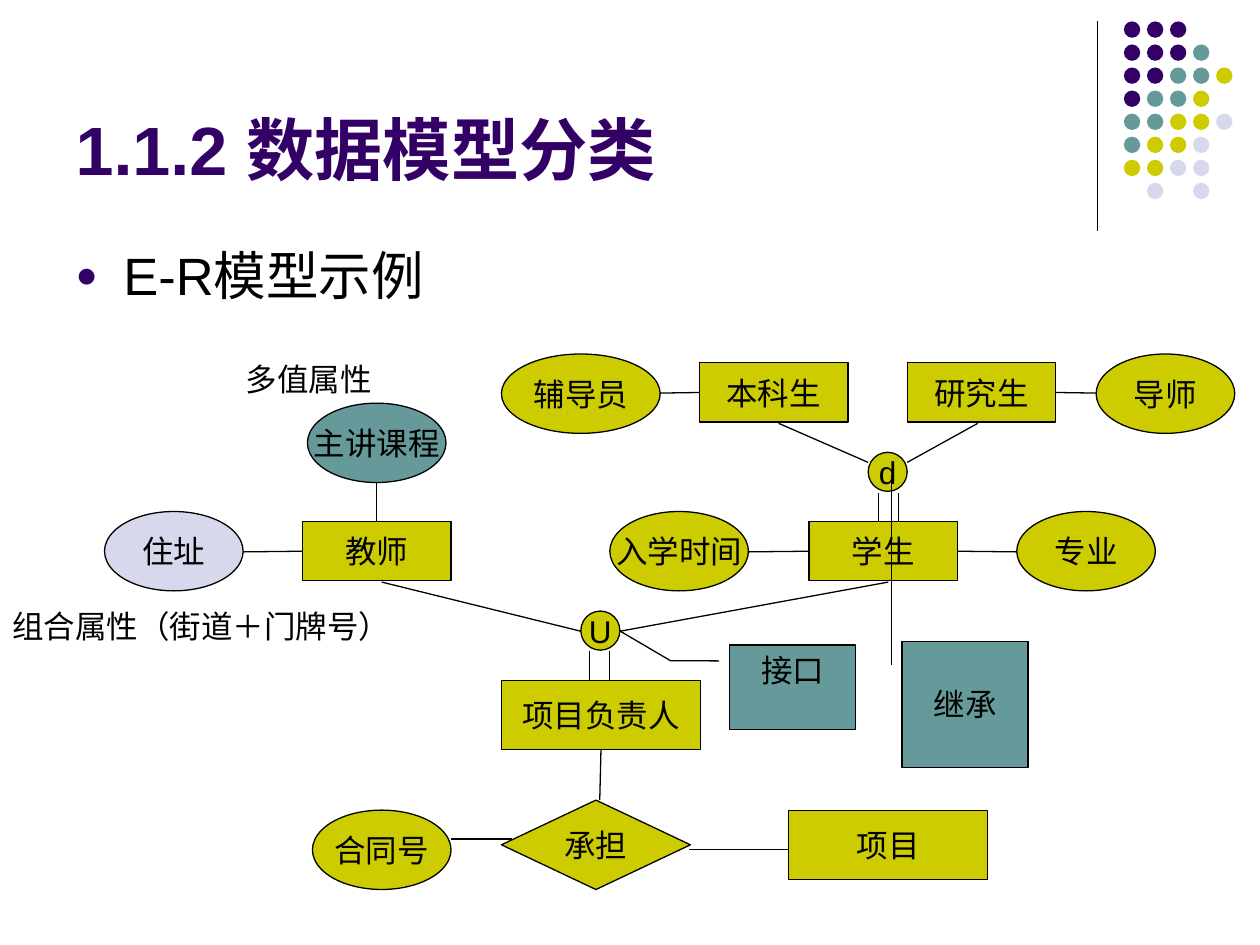
from typing import NamedTuple, Optional

import pptx
import pptx.dml.color
import pptx.enum.shapes
import pptx.enum.text
import pptx.oxml
import pptx.oxml.ns
import pptx.util
from pptx.util import Inches

RGBColor = pptx.dml.color.RGBColor
Shape = pptx.enum.shapes.MSO_SHAPE
Anchor = pptx.enum.text.MSO_ANCHOR
Align = pptx.enum.text.PP_ALIGN
AutoSize = pptx.enum.text.MSO_AUTO_SIZE

BLACK = RGBColor(0x00, 0x00, 0x00)
PURPLE = RGBColor(0x33, 0x00, 0x66)
TEAL = RGBColor(0x66, 0x99, 0x99)
OLIVE = RGBColor(0xCC, 0xCC, 0x00)
LAVENDER = RGBColor(0xD8, 0xD8, 0xEC)

FONT = "Arial"
TOP, LEFT, BOTTOM, RIGHT = range(4)

# Dot ornament: one letter per dot, one string per row
DOT_COLORS = {"P": PURPLE, "T": TEAL, "O": OLIVE, "L": LAVENDER}
DOT_ROWS = ["PPP", "PPPT", "PPTTO", "PTTO", "TTOOL", "TOOL", "OOLL", " L L"]
DOT_LEFT, DOT_TOP, DOT_PITCH, DOT_SIZE = 8.92, 0.17, 0.183, 0.13


class Size(NamedTuple):
    width: float
    height: float


ENTITY = Size(1.18, 0.47)
WIDE_ENTITY = Size(1.58, 0.55)
ATTRIBUTE = Size(1.1, 0.63)
CIRCLE = Size(0.31, 0.31)


class Node(NamedTuple):
    text: str
    left: float
    top: float
    size: Size
    kind: int = Shape.OVAL
    fill: RGBColor = OLIVE


class Link(NamedTuple):
    start: tuple
    end: tuple
    start_joint: Optional[tuple] = None  # (entity, side)
    end_joint: Optional[tuple] = None


class Callout(NamedTuple):
    node: Node
    adjustments: tuple
    anchor: int


NODES = [
    Node("学生", 6.42, 4.14, ENTITY, Shape.RECTANGLE),
    Node("研究生", 7.2, 2.88, ENTITY, Shape.RECTANGLE),
    Node("本科生", 5.55, 2.88, ENTITY, Shape.RECTANGLE),
    Node("教师", 2.4, 4.14, ENTITY, Shape.RECTANGLE),
    Node("项目负责人", 3.98, 5.4, WIDE_ENTITY, Shape.RECTANGLE),
    Node("项目", 6.26, 6.43, WIDE_ENTITY, Shape.RECTANGLE),
    Node("承担", 3.98, 6.35, Size(1.5, 0.71), Shape.DIAMOND),
    Node("导师", 8.7, 2.81, ATTRIBUTE),
    Node("辅导员", 3.98, 2.81, Size(1.26, 0.63)),
    Node("入学时间", 4.84, 4.06, ATTRIBUTE),
    Node("专业", 8.07, 4.06, ATTRIBUTE),
    Node("住址", 0.83, 4.06, ATTRIBUTE, fill=LAVENDER),
    Node("主讲课程", 2.44, 3.2, ATTRIBUTE, fill=TEAL),
    Node("合同号", 2.48, 6.43, ATTRIBUTE),
    Node("d", 6.89, 3.59, CIRCLE),
    Node("U", 4.61, 4.85, CIRCLE),
]

LINKS = [
    # Attributes
    Link((5.94, 4.38), (6.42, 4.38), end_joint=("学生", LEFT)),
    Link((7.6, 4.38), (8.07, 4.38), start_joint=("学生", RIGHT)),
    Link((8.39, 3.12), (8.7, 3.12), start_joint=("研究生", RIGHT)),
    Link((5.24, 3.12), (5.55, 3.12), end_joint=("本科生", LEFT)),
    Link((1.93, 4.38), (2.4, 4.38), end_joint=("教师", LEFT)),
    Link((2.99, 4.14), (2.99, 3.83), start_joint=("教师", TOP)),
    Link((3.58, 6.66), (4.06, 6.66)),
    # Inheritance and union, with double lines
    Link((6.97, 3.91), (6.97, 4.14)),
    Link((7.13, 3.91), (7.13, 4.14)),
    Link((6.18, 3.36), (6.89, 3.67)),
    Link((7.76, 3.36), (7.2, 3.67)),
    Link((4.68, 5.17), (4.68, 5.4)),
    Link((4.84, 5.17), (4.84, 5.4)),
    Link((3.03, 4.62), (4.61, 5.01)),
    Link((7.05, 4.62), (4.92, 5.01)),
    # Relationship
    Link((4.76, 5.95), (4.76, 6.35), start_joint=("项目负责人", BOTTOM)),
    Link((5.47, 6.74), (6.26, 6.74)),
]

CALLOUTS = [
    Callout(Node("继承", 7.16, 5.09, Size(1, 1), Shape.LINE_CALLOUT_1, TEAL),
            (0.188, -0.083, -1.319, -0.083), Anchor.MIDDLE),
    Callout(Node("接口", 5.79, 5.12, Size(1, 0.67), Shape.LINE_CALLOUT_2, TEAL),
            (0.188, -0.083, 0.185, -0.469, -0.167, -0.87), Anchor.TOP),
]


def add_text(paragraph, text: str, size: float = 18,
             color: RGBColor = BLACK, bold: bool = False) -> None:
    run = paragraph.add_run()
    run.text = text
    run.font.name = FONT
    run.font.size = pptx.util.Pt(size)
    run.font.bold = bold
    run.font.color.rgb = color


def place(shape, left: float, top: float, width: float, height: float) -> None:
    shape.left, shape.top = Inches(left), Inches(top)
    shape.width, shape.height = Inches(width), Inches(height)


def add_dots(slide) -> None:
    for row, letters in enumerate(DOT_ROWS):
        for column, letter in enumerate(letters):
            if letter not in DOT_COLORS:
                continue
            dot = slide.shapes.add_shape(
                Shape.OVAL, Inches(DOT_LEFT + column * DOT_PITCH),
                Inches(DOT_TOP + row * DOT_PITCH), Inches(DOT_SIZE), Inches(DOT_SIZE))
            dot.shadow.inherit = False
            dot.fill.solid()
            dot.fill.fore_color.rgb = DOT_COLORS[letter]
            dot.line.fill.background()


def add_node(slide, node: Node, wrap: bool = False):
    shape = slide.shapes.add_shape(
        node.kind, Inches(node.left), Inches(node.top),
        Inches(node.size.width), Inches(node.size.height))
    shape.shadow.inherit = False
    shape.fill.solid()
    shape.fill.fore_color.rgb = node.fill
    shape.line.color.rgb = BLACK
    shape.line.width = pptx.util.Pt(0.75)
    frame = shape.text_frame
    frame.word_wrap = wrap
    frame.vertical_anchor = Anchor.MIDDLE
    frame.paragraphs[0].alignment = Align.CENTER
    add_text(frame.paragraphs[0], node.text)
    return shape


def add_link(slide, link: Link, shapes: dict) -> None:
    connector = slide.shapes.add_connector(
        pptx.enum.shapes.MSO_CONNECTOR.STRAIGHT,
        *map(Inches, link.start + link.end))
    connector.line.color.rgb = BLACK
    connector.line.width = pptx.util.Pt(0.75)
    properties = connector._element.spPr
    properties.append(pptx.oxml.parse_xml(
        f"<a:effectLst {pptx.oxml.ns.nsdecls('a')}/>"))
    if link.start_joint:
        entity, side = link.start_joint
        connector.begin_connect(shapes[entity], side)
    if link.end_joint:
        entity, side = link.end_joint
        connector.end_connect(shapes[entity], side)


def add_callout(slide, callout: Callout) -> None:
    shape = add_node(slide, callout.node, wrap=True)
    shape.text_frame.vertical_anchor = callout.anchor
    for index, value in enumerate(callout.adjustments):
        shape.adjustments[index] = value


def add_label(slide, text: str, left: float, top: float, width: float) -> None:
    box = slide.shapes.add_textbox(Inches(left), Inches(top), Inches(width), Inches(0.4))
    box.text_frame.word_wrap = True
    add_text(box.text_frame.paragraphs[0], text)


def add_headings(slide) -> None:
    title, body = slide.shapes.title, slide.placeholders[1]
    place(title, 0.5, 0.13, 8.25, 1.42)
    place(body, 0.5, 1.88, 9, 4.82)
    for shape, anchor in ((title, Anchor.BOTTOM), (body, Anchor.TOP)):
        shape.text_frame.auto_size = AutoSize.NONE
        shape.text_frame.vertical_anchor = anchor
        shape.text_frame.paragraphs[0].alignment = Align.LEFT
    add_text(title.text_frame.paragraphs[0], "1.1.2 数据模型分类", 39, PURPLE, bold=True)

    paragraph = body.text_frame.paragraphs[0]
    properties = paragraph._p.get_or_add_pPr()
    properties.set("marL", str(Inches(0.38)))
    properties.set("indent", str(-Inches(0.38)))
    for bullet in (f'<a:buClr {{}}><a:srgbClr val="{PURPLE}"/></a:buClr>',
                   '<a:buSzPct {} val="70000"/>',
                   '<a:buChar {} char="●"/>'):
        properties.append(pptx.oxml.parse_xml(bullet.format(pptx.oxml.ns.nsdecls("a"))))
    paragraph.space_before = pptx.util.Pt(0)
    add_text(paragraph, "E-R模型示例", 30)


def main() -> None:
    presentation = pptx.Presentation()
    presentation.slide_width, presentation.slide_height = Inches(10), Inches(7.5)
    slide = presentation.slides.add_slide(presentation.slide_layouts[1])

    # Ornament and headings
    add_link(slide, Link((8.71, 0.17), (8.71, 1.83)), {})
    add_dots(slide)
    add_headings(slide)

    # Entity-relationship diagram
    shapes = {node.text: add_node(slide, node) for node in NODES}
    for link in LINKS:
        add_link(slide, link, shapes)
    add_label(slide, "多值属性", 1.85, 2.81, 1.49)
    add_label(slide, "组合属性（街道＋门牌号）", 0, 4.77, 3.58)
    for callout in CALLOUTS:
        add_callout(slide, callout)

    presentation.save("out.pptx")


if __name__ == "__main__":
    main()
